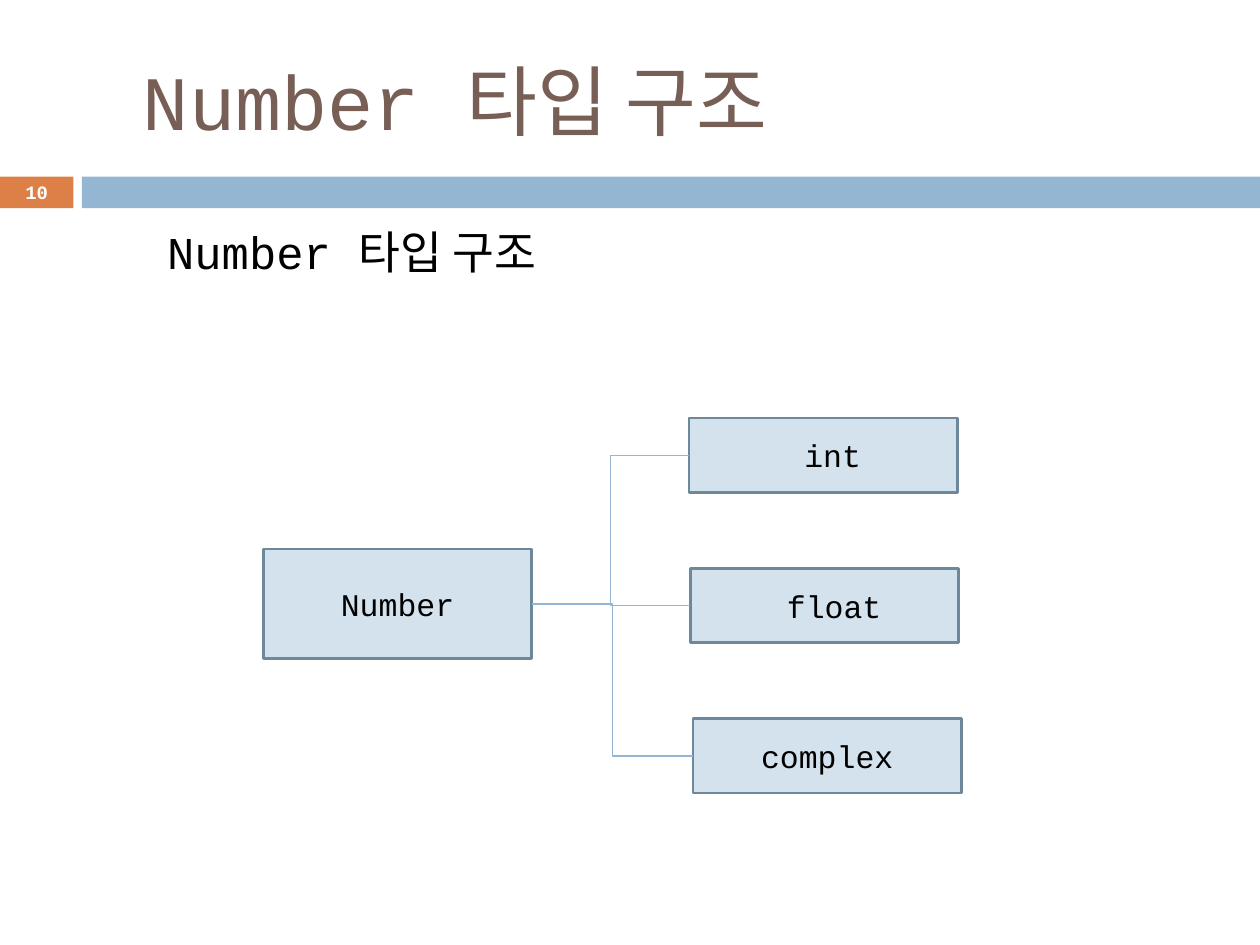
from dataclasses import dataclass

from lxml import etree
from pptx import Presentation
from pptx.dml.color import RGBColor
from pptx.enum.shapes import MSO_CONNECTOR, MSO_SHAPE
from pptx.enum.text import MSO_ANCHOR, PP_ALIGN
from pptx.oxml.ns import qn
from pptx.util import Cm, Pt

RECTANGLE = MSO_SHAPE.RECTANGLE
ELBOW = MSO_CONNECTOR.ELBOW
TOP, MIDDLE = MSO_ANCHOR.TOP, MSO_ANCHOR.MIDDLE
LEFT, CENTER = PP_ALIGN.LEFT, PP_ALIGN.CENTER
LEFT_SITE, RIGHT_SITE = 1, 3


@dataclass(frozen=True)
class Theme:
    font: str = "Courier New"
    title: str = "775F55"
    text: str = "000000"
    light: str = "FFFFFF"
    accent: str = "DD8047"
    band: str = "94B6D2"
    node: str = "D4E2ED"
    outline: str = "6D879B"
    title_size: float = 44
    body_size: float = 26
    node_size: float = 18
    number_size: float = 10.8
    outline_width: float = 1.5
    branch_width: float = 0.79


@dataclass(frozen=True)
class Area:
    left: float
    top: float
    width: float
    height: float

    def lengths(self) -> tuple:
        return Cm(self.left), Cm(self.top), Cm(self.width), Cm(self.height)


@dataclass(frozen=True)
class Label:
    text: str
    size: float
    color: str
    align: int = LEFT
    anchor: int = MIDDLE
    bold: bool = False


@dataclass(frozen=True)
class Node:
    label: str
    area: Area


THEME = Theme()
ROOT = Node("Number", Area(5.31, 11.07, 5.41, 2.21))
BRANCH_TOP, BRANCH_STEP = 8.43, 3.03
BRANCHES = [
    Node(label, Area(left, BRANCH_TOP + row * BRANCH_STEP, 5.41, 1.5))
    for row, (label, left) in enumerate(
        [(" int", 13.89), (" float", 13.92), ("complex", 13.97)]
    )
]


def write(box, label: Label) -> None:
    frame = box.text_frame
    frame.word_wrap = True
    frame.vertical_anchor = label.anchor
    para = frame.paragraphs[0]
    para.alignment = label.align
    span = para.add_run()
    span.text = label.text
    formats = {"name": THEME.font, "size": Pt(label.size), "bold": label.bold}
    for name, value in formats.items():
        setattr(span.font, name, value)
    span.font.color.rgb = RGBColor.from_string(label.color)


def add_text(page, area: Area, label: Label):
    box = page.shapes.add_textbox(*area.lengths())
    write(box, label)
    return box


def add_block(page, area: Area, fill: str):
    box = page.shapes.add_shape(RECTANGLE, *area.lengths())
    box.shadow.inherit = False
    box.fill.solid()
    box.fill.fore_color.rgb = RGBColor.from_string(fill)
    box.line.fill.background()
    return box


def add_node(page, node: Node):
    box = add_block(page, node.area, THEME.node)
    box.line.color.rgb = RGBColor.from_string(THEME.outline)
    box.line.width = Pt(THEME.outline_width)
    write(box, Label(node.label, THEME.node_size, THEME.text, CENTER))
    return box


def add_branch(page, parent, child) -> None:
    branch = page.shapes.add_connector(ELBOW, 0, 0, 0, 0)
    branch.begin_connect(parent, RIGHT_SITE)
    branch.end_connect(child, LEFT_SITE)
    branch.line.color.rgb = RGBColor.from_string(THEME.band)
    branch.line.width = Pt(THEME.branch_width)
    etree.SubElement(branch._element.spPr, qn("a:effectLst"))


def main() -> None:
    deck = Presentation()
    deck.slide_width, deck.slide_height = Cm(25.4), Cm(19.05)
    page = deck.slides.add_slide(deck.slide_layouts[6])

    add_block(page, Area(0, 3.56, 1.48, 0.64), THEME.accent)
    add_block(page, Area(1.65, 3.56, 23.75, 0.64), THEME.band)
    add_text(page, Area(1.7, 0.64, 22.66, 2.74),
             Label(" Number 타입 구조", THEME.title_size, THEME.title))
    body = add_text(page, Area(1.3, 4.39, 22.86, 2.54),
                    Label(" Number 타입 구조", THEME.body_size, THEME.text, anchor=TOP))
    body.text_frame.margin_left = Cm(1.52)
    add_text(page, Area(0, 3.53, 1.48, 0.69),
             Label("10", THEME.number_size, THEME.light, CENTER, bold=True))

    root = add_node(page, ROOT)
    children = [add_node(page, node) for node in BRANCHES]
    for child in children:
        add_branch(page, root, child)

    deck.save("out.pptx")


if __name__ == "__main__":
    main()
